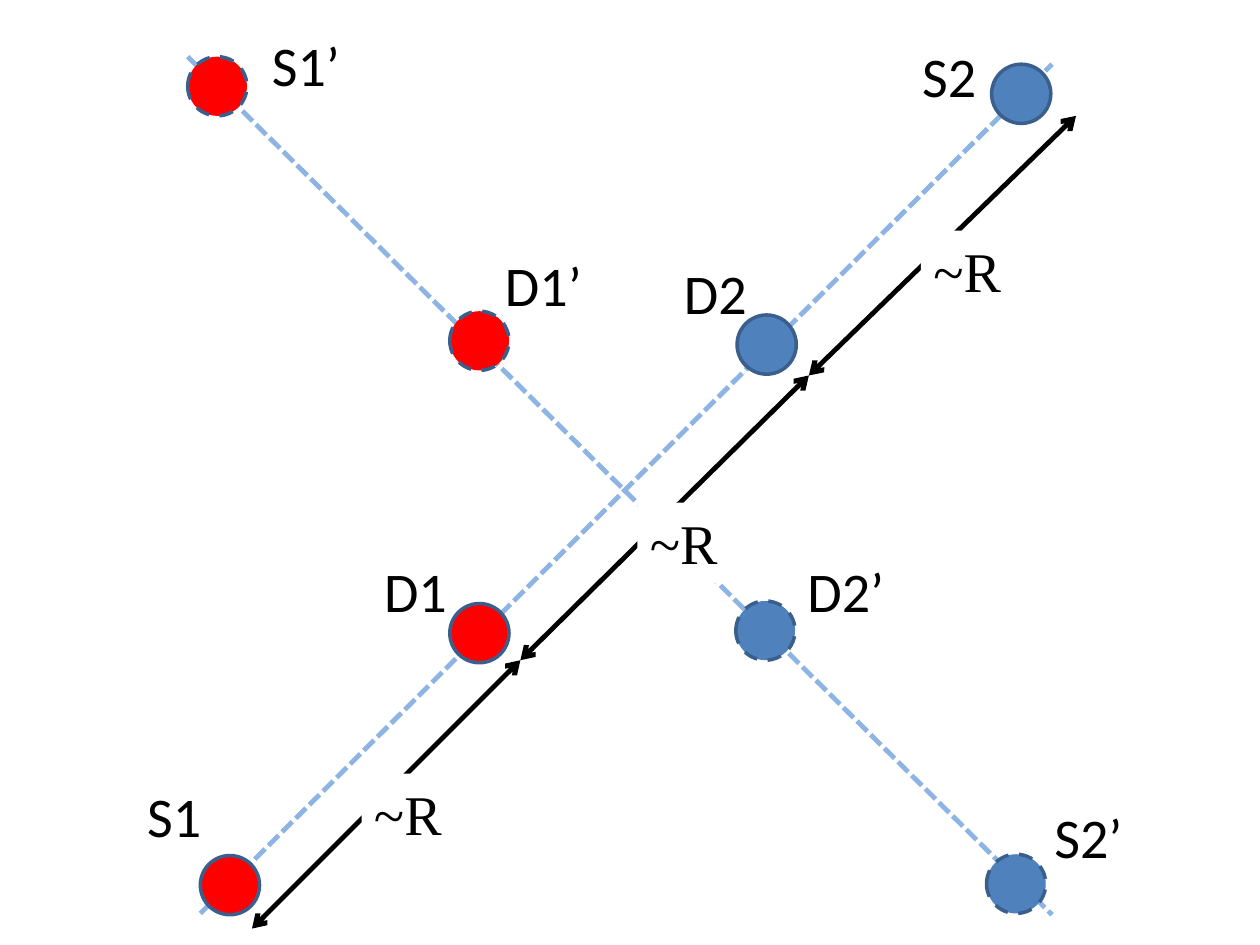
from pptx import Presentation
from pptx.dml.color import RGBColor
from pptx.enum.dml import MSO_LINE
from pptx.enum.shapes import MSO_CONNECTOR, MSO_SHAPE
from pptx.oxml.ns import qn
from pptx.util import Inches, Pt
from lxml.etree import SubElement

COLORS = {"axis": "8EB4E3", "blue": "4F81BD", "red": "FF0000",
          "rim": "3A5F8C", "black": "000000", "white": "FFFFFF"}
NODE_SIZE = 0.47
LABEL_SIZE = (0.93, 0.64)

# Axes: start, end
AXES = [((1.59, 7.25), (8.35, 0.51)), ((1.49, 0.45), (8.35, 7.26))]
# Nodes: name, fill, node corner, label corner; primed nodes have a dashed rim
NODES = [
    ("S2", "blue", (7.87, 0.51), (7.22, 0.28)),
    ("D2", "blue", (5.85, 2.5), (5.33, 2)),
    ("D1", "red", (3.57, 4.79), (2.95, 4.37)),
    ("S1", "red", (1.59, 6.79), (1.07, 6.15)),
    ("S1’", "red", (1.49, 0.45), (2.06, 0.19)),
    ("D1’", "red", (3.57, 2.47), (3.91, 1.94)),
    ("D2’", "blue", (5.84, 4.77), (6.31, 4.37)),
    ("S2’", "blue", (7.83, 6.78), (8.27, 6.32)),
]
# Distance arrows run through these points, each with one label
STOPS = [(2, 7.37), (4.13, 5.24), (6.42, 2.98), (8.54, 0.92)]
DISTANCE_LABELS = [(2.87, 6.14), (5.06, 3.99), (7.31, 1.83)]


def rgb(name):
    return RGBColor.from_string(COLORS[name])


def add_line(slide, origin, start, end, color):
    ends = [Inches(base + offset) for point in (start, end)
            for base, offset in zip(origin, point)]
    line = slide.shapes.add_connector(MSO_CONNECTOR.STRAIGHT, *ends)
    line.line.color.rgb = rgb(color)
    line.line.width = Pt(2.75)
    SubElement(line._element.spPr, qn("a:effectLst"))
    return line


def add_label(slide, origin, corner, text, font_name, fill=None):
    left, top = (Inches(a + b) for a, b in zip(origin, corner))
    label = slide.shapes.add_textbox(left, top, *map(Inches, LABEL_SIZE))
    if fill:
        label.fill.solid()
        label.fill.fore_color.rgb = rgb(fill)
    frame = label.text_frame
    frame.word_wrap = True
    frame.text = text
    font = frame.paragraphs[0].runs[0].font
    font.name, font.size = font_name, Pt(32)
    font.color.rgb = rgb("black")


def add_node(slide, origin, corner, fill, dashed):
    left, top = (Inches(a + b) for a, b in zip(origin, corner))
    node = slide.shapes.add_shape(MSO_SHAPE.OVAL, left, top,
                                  Inches(NODE_SIZE), Inches(NODE_SIZE))
    node.shadow.inherit = False
    node.fill.solid()
    node.fill.fore_color.rgb = rgb(fill)
    node.line.color.rgb = rgb("rim")
    node.line.width = Pt(2)
    if dashed:
        node.line.dash_style = MSO_LINE.DASH


def draw_axes(slide, origin):
    for start, end in AXES:
        axis = add_line(slide, origin, start, end, "axis")
        axis.line.dash_style = MSO_LINE.SQUARE_DOT


def draw_nodes(slide, origin):
    for name, fill, corner, _ in NODES:
        add_node(slide, origin, corner, fill, name.endswith("’"))


def draw_distances(slide, origin):
    for start, end, corner in zip(STOPS, STOPS[1:], DISTANCE_LABELS):
        arrow = add_line(slide, origin, start, end, "black")
        for tip in ("a:headEnd", "a:tailEnd"):
            SubElement(arrow.line._get_or_add_ln(), qn(tip), type="arrow")
        add_label(slide, origin, corner, "~R", "Times New Roman", "white")


def draw_names(slide, origin):
    for name, _, _, corner in NODES:
        add_label(slide, origin, corner, name, "Calibri")


def build_diagram(slide, origin):
    # Back to front: axes, nodes, distances, node names
    for draw in (draw_axes, draw_nodes, draw_distances, draw_names):
        draw(slide, origin)


deck = Presentation()
deck.slide_width, deck.slide_height = Inches(10), Inches(7.5)
build_diagram(deck.slides.add_slide(deck.slide_layouts[6]), (0, 0))
deck.save("out.pptx")
